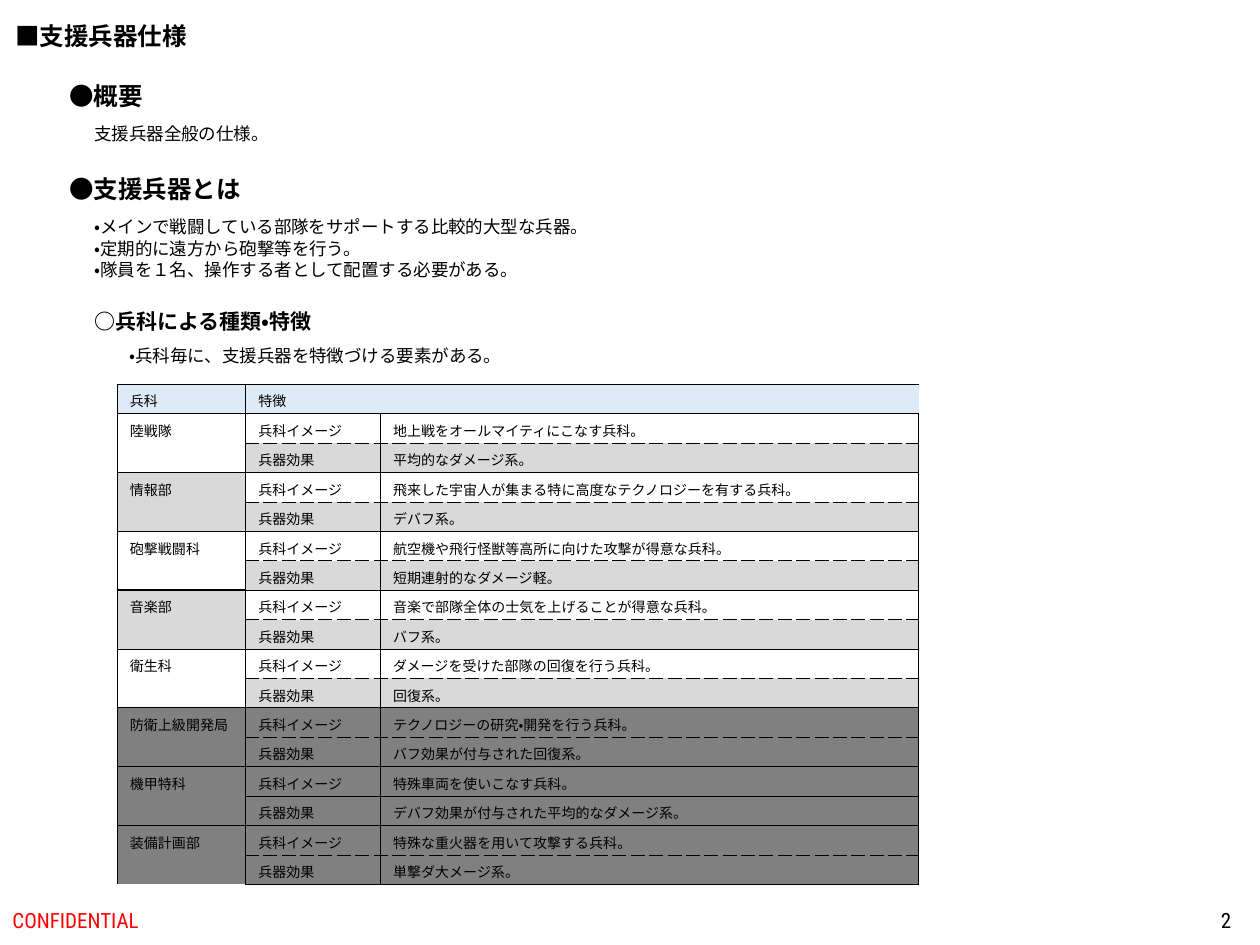
import pptx
import pptx.util
import pptx.dml.color
import pptx.enum.lang
import pptx.enum.text
from lxml import etree

Pt = pptx.util.Pt
ALIGN = pptx.enum.text.PP_ALIGN
ANCHOR = pptx.enum.text.MSO_ANCHOR
AUTO = pptx.enum.text.MSO_AUTO_SIZE

# Content
TITLE = "■支援兵器仕様"
SECTIONS = [  # left, top, width, height, size, bold, lines
    (32.4, 42.5, 57, 24.2, 14, True, ["●概要"]),
    (46.8, 67, 115, 19.4, 10, False, ["支援兵器全般の仕様。"]),
    (32.4, 95.8, 114, 24.2, 14, True, ["●支援兵器とは"]),
    (46.8, 120.2, 307.5, 44, 10, False, [
        "・メインで戦闘している部隊をサポートする比較的大型な兵器。",
        "・定期的に遠方から砲撃等を行う。",
        "・隊員を１名、操作する者として配置する必要がある。"]),
    (46.8, 172.8, 147.6, 21.8, 12, True, ["○兵科による種類・特徴"]),
    (67, 193.7, 237, 19.4, 10, False, ["・兵科毎に、支援兵器を特徴づける要素がある。"]),
]
FOOTERS = [  # left, width, text, colour, alignment
    (0, 243.4, "CONFIDENTIAL", "FF0000", ALIGN.LEFT),
    (548.6, 162, "2", "000000", ALIGN.RIGHT),
]
HEADER = ["兵科", "特徴"]
LABELS = ["兵科イメージ", "兵器効果"]
WHITE, GREY, DARK, BLUE = "FFFFFF", "D9D9D9", "808080", "DEEBF7"
BRANCHES = [  # name, image, effect, fills of name / image / effect
    ("陸戦隊", "地上戦をオールマイティにこなす兵科。", "平均的なダメージ系。", (WHITE, WHITE, GREY)),
    ("情報部", "飛来した宇宙人が集まる特に高度なテクノロジーを有する兵科。", "デバフ系。", (GREY, WHITE, GREY)),
    ("砲撃戦闘科", "航空機や飛行怪獣等高所に向けた攻撃が得意な兵科。", "短期連射的なダメージ軽。", (WHITE, WHITE, GREY)),
    ("音楽部", "音楽で部隊全体の士気を上げることが得意な兵科。", "バフ系。", (GREY, WHITE, GREY)),
    ("衛生科", "ダメージを受けた部隊の回復を行う兵科。", "回復系。", (WHITE, WHITE, GREY)),
    ("防衛上級開発局", "テクノロジーの研究・開発を行う兵科。", "バフ効果が付与された回復系。", (DARK,) * 3),
    ("機甲特科", "特殊車両を使いこなす兵科。", "デバフ効果が付与された平均的なダメージ系。", (DARK,) * 3),
    ("装備計画部", "特殊な重火器を用いて攻撃する兵科。", "単撃ダ大メージ系。", (DARK,) * 3),
]
TABLE_LEFT, TABLE_TOP, ROW_HEIGHT = 67, 219.6, 16.8
COLUMN_WIDTHS = [73.4, 77, 307.6]
SOLID_BRANCH = 6  # the branch whose two rows are parted by a solid line
NO_STYLE = "{2D5ABB26-0587-4C30-8999-92F81FD0307C}"


def colour(value):
    return pptx.dml.color.RGBColor.from_string(value)


def write(frame, lines, size=10, font="Quicksand", bold=False, fill="000000", align=ALIGN.LEFT):
    for index, line in enumerate(lines):
        para = frame.paragraphs[0] if index == 0 else frame.add_paragraph()
        para.alignment = align
        span = para.add_run()
        span.text = line
        span.font.size = Pt(size)
        span.font.name = font
        span.font.bold = bold
        span.font.color.rgb = colour(fill)
        span.font.language_id = pptx.enum.lang.MSO_LANGUAGE_ID.JAPANESE


def place(box, left, top, width, height, wrap=False, anchor=ANCHOR.TOP):
    box.left, box.top, box.width, box.height = Pt(left), Pt(top), Pt(width), Pt(height)
    frame = box.text_frame
    frame.margin_left = frame.margin_right = Pt(7.2)
    frame.margin_top = frame.margin_bottom = Pt(3.6)
    frame.word_wrap = wrap
    frame.auto_size = AUTO.NONE if wrap else AUTO.SHAPE_TO_FIT_TEXT
    frame.vertical_anchor = anchor
    return frame


def horizontal_line(index, column):
    """Width and dash of the line above the given row; None inside a merged cell."""
    if index < 2:
        return 1, "solid"
    if index % 2:
        return (1 if column == 0 and index in (3, 5) else 0.5), "solid"
    if column == 0:
        return None
    return 0.5, "solid" if index == 2 * SOLID_BRANCH + 2 else "sysDash"


def vertical_line(index, row):
    """Width and dash of the line left of the given column."""
    if index == 2:
        return None if row == 0 else (0.5, "solid")
    return 1, "solid"


def set_borders(cell, row, column):
    edges = [("lnL", vertical_line(column, row)), ("lnR", vertical_line(column + 1, row)),
             ("lnT", horizontal_line(row, column)), ("lnB", horizontal_line(row + 1, column))]
    properties = cell._tc.get_or_add_tcPr()
    namespace = "{http://schemas.openxmlformats.org/drawingml/2006/main}"
    drawn = [edge for edge in edges if edge[1]]
    for position, (tag, (width, dash)) in enumerate(drawn):
        line = etree.Element(namespace + tag, w=str(int(Pt(width))))
        fill = etree.SubElement(line, namespace + "solidFill")
        etree.SubElement(fill, namespace + "srgbClr", val="000000")
        etree.SubElement(line, namespace + "prstDash", val=dash)
        properties.insert(position, line)


def add_branch_table(page):
    # One row list per table row: texts, then fills
    rows = [(HEADER + [""], (BLUE,) * 3)]
    for name, image, effect, (name_fill, image_fill, effect_fill) in BRANCHES:
        rows.append(([name, LABELS[0], image], (name_fill, image_fill, image_fill)))
        rows.append((["", LABELS[1], effect], (name_fill, effect_fill, effect_fill)))

    table = page.shapes.add_table(len(rows), len(COLUMN_WIDTHS), Pt(TABLE_LEFT), Pt(TABLE_TOP),
                                  Pt(sum(COLUMN_WIDTHS)), Pt(ROW_HEIGHT * len(rows))).table
    table.first_row = table.horz_banding = False
    table._tbl.tblPr[0].text = NO_STYLE
    for column, width in zip(table.columns, COLUMN_WIDTHS):
        column.width = Pt(width)
    for row, (texts, fills) in enumerate(rows):
        table.rows[row].height = Pt(ROW_HEIGHT)
        for column, (text, fill) in enumerate(zip(texts, fills)):
            cell = table.cell(row, column)
            cell.fill.solid()
            cell.fill.fore_color.rgb = colour(fill)
            set_borders(cell, row, column)
            if text:
                write(cell.text_frame, [text], size=8, font="Arial")
            else:
                cell.text_frame.paragraphs[0].font.size = Pt(8)

    # Merged header and branch names
    table.cell(0, 1).merge(table.cell(0, 2))
    for row in range(1, len(rows), 2):
        table.cell(row, 0).merge(table.cell(row + 1, 0))


def main():
    deck = pptx.Presentation()
    deck.slide_width, deck.slide_height = Pt(720), Pt(540)
    page = deck.slides.add_slide(deck.slide_layouts[5])

    # Title
    frame = place(page.shapes.title, 1.4, 8.6, 114, 24.2)
    write(frame, [TITLE], size=14, font="Arial", bold=True)

    # Footer
    for left, width, text, fill, align in FOOTERS:
        box = page.shapes.add_textbox(0, 0, 0, 0)
        frame = place(box, left, 511.2, width, 28.8, wrap=True, anchor=ANCHOR.MIDDLE)
        write(frame, [text], size=12, font="Roboto Condensed", fill=fill, align=align)

    # Headings and body text
    for left, top, width, height, size, bold, lines in SECTIONS:
        box = page.shapes.add_textbox(0, 0, 0, 0)
        write(place(box, left, top, width, height), lines, size=size, bold=bold)

    add_branch_table(page)
    deck.save("out.pptx")


if __name__ == "__main__":
    main()
